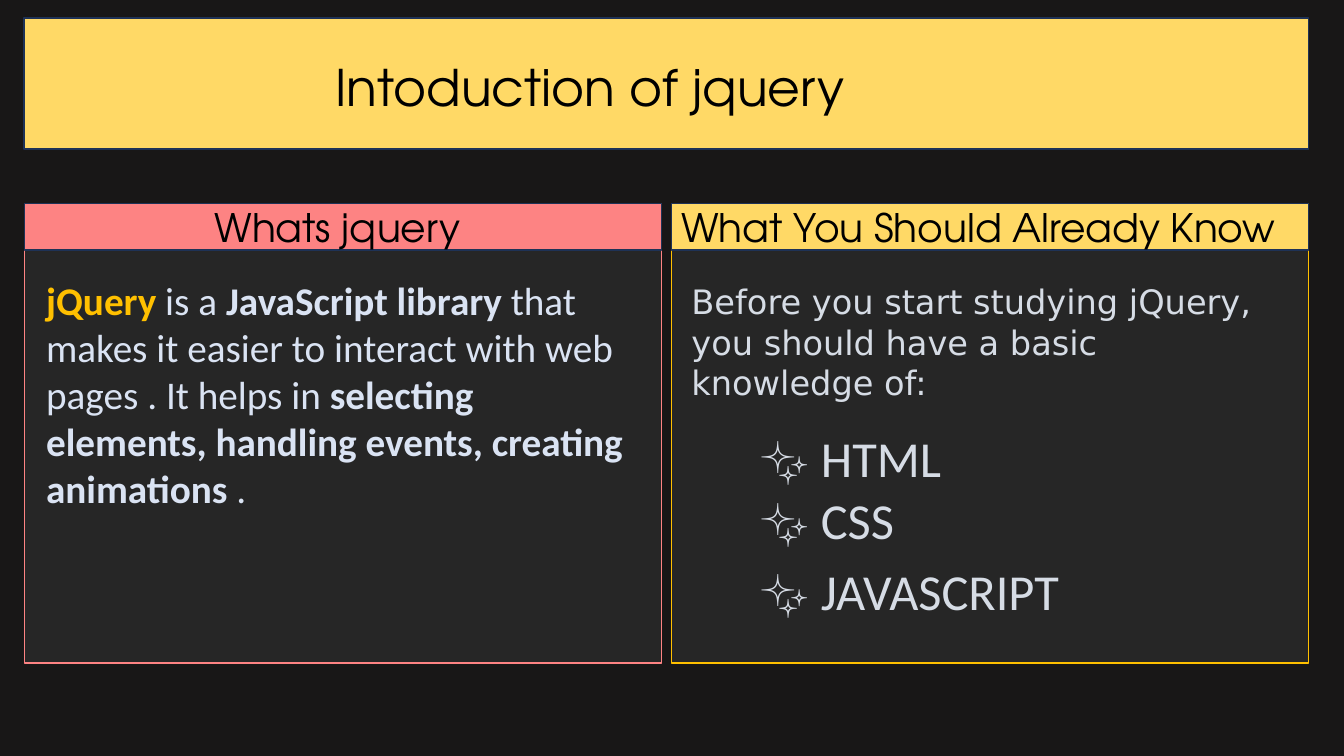
"""Build the jQuery introduction slide: a title banner over two topic panels."""
from dataclasses import dataclass

from pptx import Presentation
from pptx.dml.color import RGBColor
from pptx.enum.shapes import MSO_SHAPE
from pptx.enum.text import MSO_ANCHOR, PP_ALIGN
from pptx.util import Inches, Pt

RECTANGLE = MSO_SHAPE.RECTANGLE
TOP, MIDDLE = MSO_ANCHOR.TOP, MSO_ANCHOR.MIDDLE
LEFT, CENTER = PP_ALIGN.LEFT, PP_ALIGN.CENTER


@dataclass(frozen=True)
class Theme:
    backdrop: str = "181717"
    panel: str = "262626"
    yellow: str = "FFD966"
    coral: str = "FD8383"
    amber: str = "FFC000"
    navy: str = "1E3256"
    black: str = "000000"
    ice: str = "DAE3F3"
    mist: str = "D6DCE5"
    display: str = "TeX Gyre Adventor"
    body: str = "Calibri"
    plain: str = "DejaVu Sans"
    large: int = 36
    medium: int = 28
    small: int = 24


THEME = Theme()

TITLE = "Intoduction of jquery"
PANELS = [
    ("Whats jquery ", CENTER, THEME.coral, THEME.coral),
    ("What You Should Already Know", LEFT, THEME.yellow, THEME.amber),
]
DEFINITION = [
    ("jQuery", True, THEME.amber),
    (" is a ", False, THEME.ice),
    ("JavaScript library", True, THEME.ice),
    (" that makes it easier to interact with web pages . It helps in ", False, THEME.ice),
    ("selecting elements, handling events, creating animations ", True, THEME.ice),
    (".", False, THEME.ice),
]
PREREQUISITE_LEAD = "Before you start studying jQuery, you should have a basic knowledge of:"
PREREQUISITES = [("✨ HTML", 4.19), ("✨ CSS", 4.8), ("✨ JAVASCRIPT", 5.51)]

WIDTH, HEIGHT = 13.33, 7.5
MARGIN = 0.24
PANEL_TOP, PANEL_WIDTH, PANEL_HEIGHT = 2.02, 6.32, 4.56
PANEL_STEP = 6.42
HEADING_HEIGHT = 0.46
BANNER_WIDTH = PANEL_STEP + PANEL_WIDTH


def rgb(code):
    return RGBColor.from_string(code)


def write(shape, runs, font, size, align=LEFT, anchor=TOP):
    frame = shape.text_frame
    frame.word_wrap = True
    frame.vertical_anchor = anchor
    paragraph = frame.paragraphs[0]
    paragraph.alignment = align
    paragraph.font.name = font
    paragraph.font.size = Pt(size)
    for text, bold, color in runs:
        run = paragraph.add_run()
        run.text = text
        run.font.bold = bold
        run.font.color.rgb = rgb(color)


def add_block(slide, box, fill, line):
    block = slide.shapes.add_shape(RECTANGLE, *map(Inches, box))
    block.shadow.inherit = False
    block.fill.solid()
    block.fill.fore_color.rgb = rgb(fill)
    block.line.color.rgb = rgb(line)
    block.line.width = Pt(1)
    return block


def add_text(slide, box, runs, font, size):
    write(slide.shapes.add_textbox(*map(Inches, box)), runs, font, size)


def main():
    deck = Presentation()
    deck.slide_width, deck.slide_height = Inches(WIDTH), Inches(HEIGHT)
    slide = deck.slides.add_slide(deck.slide_layouts[6])
    slide.background.fill.solid()
    slide.background.fill.fore_color.rgb = rgb(THEME.backdrop)

    add_block(slide, (MARGIN, 0.18, BANNER_WIDTH, 1.3), THEME.yellow, THEME.navy)
    add_text(slide, (3.23, 0.51, 5.99, 0.71), [(TITLE, False, THEME.black)],
             THEME.display, THEME.large)

    for column, (heading, align, fill, border) in enumerate(PANELS):
        left = MARGIN + column * PANEL_STEP
        add_block(slide, (left, PANEL_TOP, PANEL_WIDTH, PANEL_HEIGHT), THEME.panel, border)
        bar = add_block(slide, (left, PANEL_TOP, PANEL_WIDTH, HEADING_HEIGHT), fill, THEME.navy)
        write(bar, [(heading, False, THEME.black)], THEME.display, THEME.medium, align, MIDDLE)

    add_text(slide, (0.36, 2.69, 6.07, 2.46), DEFINITION, THEME.body, THEME.medium)
    add_text(slide, (6.76, 2.74, 6.04, 1.31), [(PREREQUISITE_LEAD, False, THEME.mist)],
             THEME.plain, THEME.small)
    for topic, top in PREREQUISITES:
        add_text(slide, (7.43, top, 3.79, 0.71), [(topic, False, THEME.mist)],
                 THEME.body, THEME.large)

    deck.save("out.pptx")


if __name__ == "__main__":
    main()
